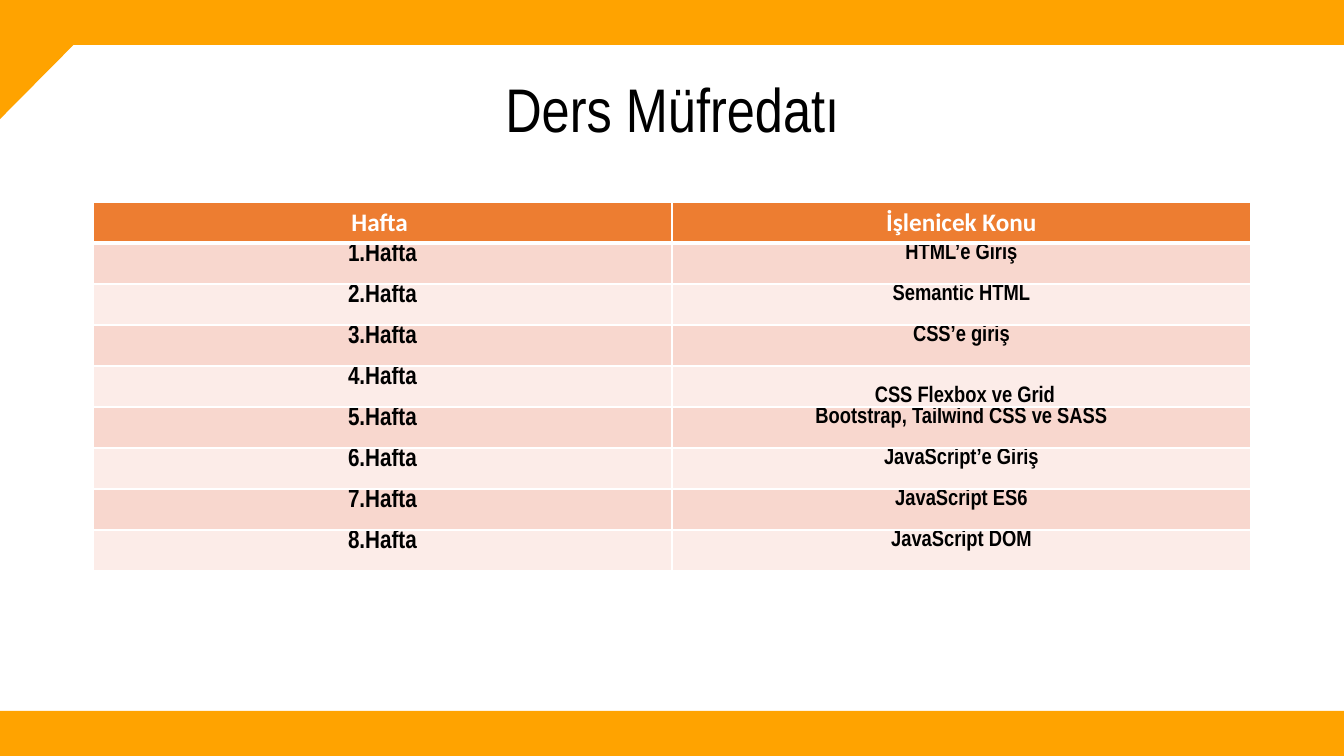
import pptx
import pptx.util
import pptx.oxml
import pptx.dml.color
import pptx.enum.shapes
import pptx.enum.text
import lxml.etree

PX = 9071.43
THEME = {
    "accent": "FFA300", "header": "ED7D31", "bands": ["F8D7CE", "FCECE8"],
    "light": "FFFFFF", "dark": "000000",
    "narrow": "Arial Narrow", "header_font": "Calibri",
    "title_size": 44, "week_size": 18, "topic_size": 16,
}
RGB = pptx.dml.color.RGBColor.from_string
CENTER = pptx.enum.text.PP_ALIGN.CENTER
ANCHOR = pptx.enum.text.MSO_ANCHOR
SHAPE = pptx.enum.shapes.MSO_SHAPE


def px(*lengths):
    return [pptx.util.Emu(round(length * PX)) for length in lengths]


def style_line(paragraph, font_name, size, color, bold=False):
    paragraph.alignment = CENTER
    font = paragraph.runs[0].font
    font.name, font.size, font.bold = font_name, pptx.util.Pt(size), bold
    font.color.rgb = RGB(color)


presentation = pptx.Presentation()
presentation.slide_width, presentation.slide_height = px(1344, 756)
slide = presentation.slides.add_slide(presentation.slide_layouts[6])

title = slide.shapes.add_textbox(*px(93, 40, 1159, 146)).text_frame
title.word_wrap = True
title.vertical_anchor = ANCHOR.MIDDLE
title.text = "Ders Müfredatı"
title.paragraphs[0].line_spacing = 0.9
style_line(title.paragraphs[0], THEME["narrow"], THEME["title_size"], THEME["dark"])

for preset, bounds, rotation in [
    (SHAPE.RECTANGLE, (0, 711, 1344, 45), 0),
    (SHAPE.RECTANGLE, (0, 0, 1344, 45), 0),
    (SHAPE.RIGHT_TRIANGLE, (-1, 1, 119, 118), 90),
]:
    decoration = slide.shapes.add_shape(preset, *px(*bounds))
    decoration.rotation = rotation
    decoration.shadow.inherit = False
    decoration.fill.solid()
    decoration.fill.fore_color.rgb = RGB(THEME["accent"])
    decoration.line.fill.background()

topics = [
    "HTML’e Giriş", "Semantic HTML", "CSS’e giriş", "CSS Flexbox ve Grid",
    "Bootstrap, Tailwind CSS ve SASS", "JavaScript’e Giriş",
    "JavaScript ES6", "JavaScript DOM",
]
curriculum = [("Hafta ", "İşlenicek Konu")]
curriculum += [(f"{week}.Hafta", topic) for week, topic in enumerate(topics, 1)]

schedule = slide.shapes.add_table(len(curriculum), 2, *px(93, 202, 1158, 369)).table
schedule.first_row = schedule.horz_banding = False
for row, entries in enumerate(curriculum):
    for column, entry in enumerate(entries):
        cell = schedule.cell(row, column)
        cell.text_frame.text = entry
        line = cell.text_frame.paragraphs[0]
        cell.fill.solid()
        if row == 0:
            cell.fill.fore_color.rgb = RGB(THEME["header"])
            style_line(line, THEME["header_font"], THEME["week_size"], THEME["light"], True)
        else:
            cell.fill.fore_color.rgb = RGB(THEME["bands"][(row - 1) % 2])
            cell.margin_top = cell.margin_bottom = 0
            size = THEME["topic_size"] if column else THEME["week_size"]
            style_line(line, THEME["narrow"], size, THEME["dark"], True)

        thick_side = {0: "lnB", 1: "lnT"}.get(row)
        properties = cell._tc.get_or_add_tcPr()
        for position, side in enumerate(["lnL", "lnR", "lnT", "lnB"]):
            width = pptx.util.Pt(3 if side == thick_side else 1)
            border = pptx.oxml.parse_xml(
                f'<a:{side} xmlns:a="http://schemas.openxmlformats.org/drawingml/2006/main" '
                f'w="{width}"><a:solidFill><a:srgbClr val="{THEME["light"]}"/>'
                f'</a:solidFill></a:{side}>'
            )
            properties.insert(position, border)

flexbox = schedule.cell(4, 1)
flexbox.vertical_anchor = ANCHOR.BOTTOM
flexbox.margin_left = flexbox.margin_right = 0
flexbox_line = flexbox.text_frame.paragraphs[0]
flexbox_line.line_spacing = pptx.util.Pt(16.6)
flexbox_line._p.get_or_add_pPr().set("marL", str(px(7)[0]))

presentation.save("out.pptx")
